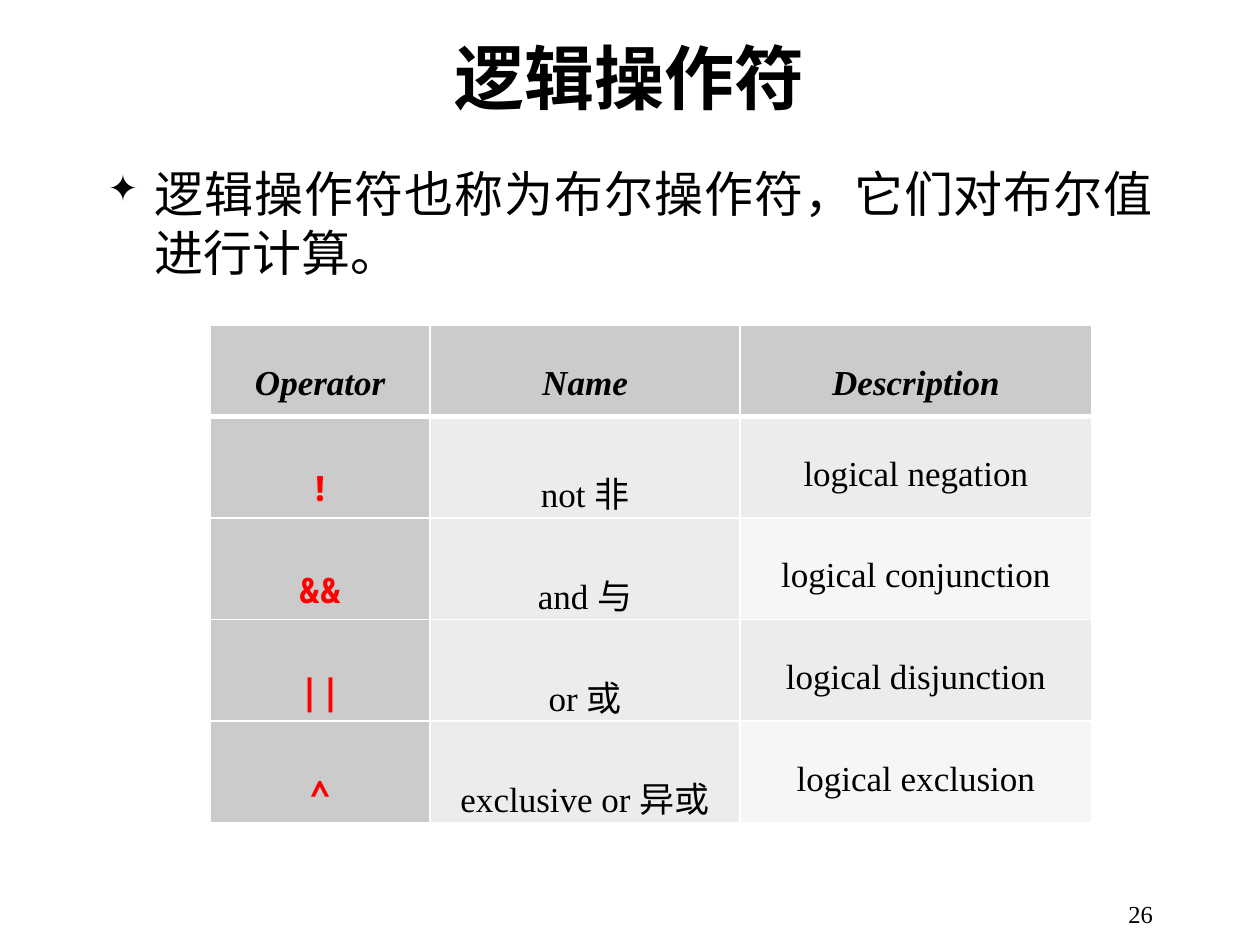
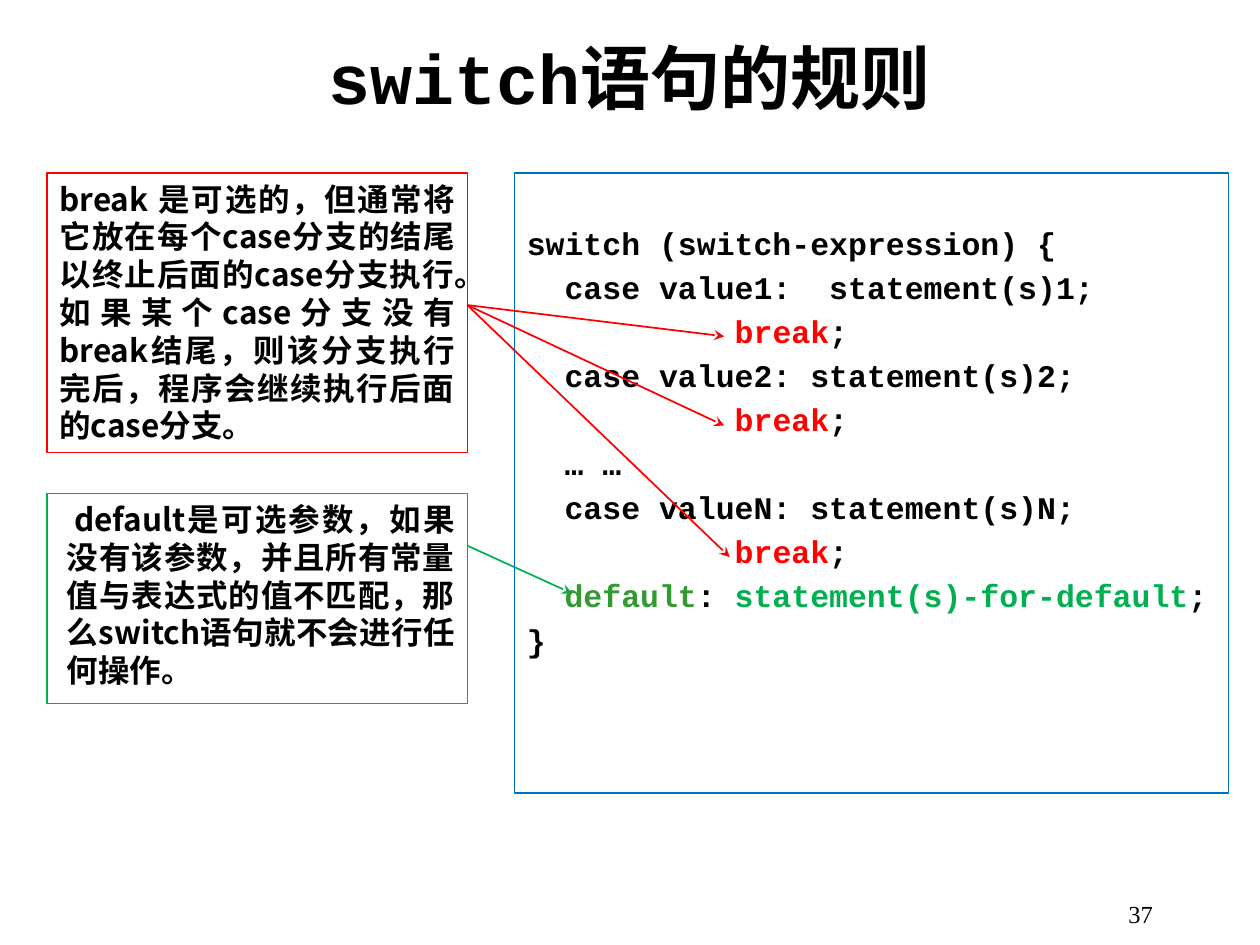
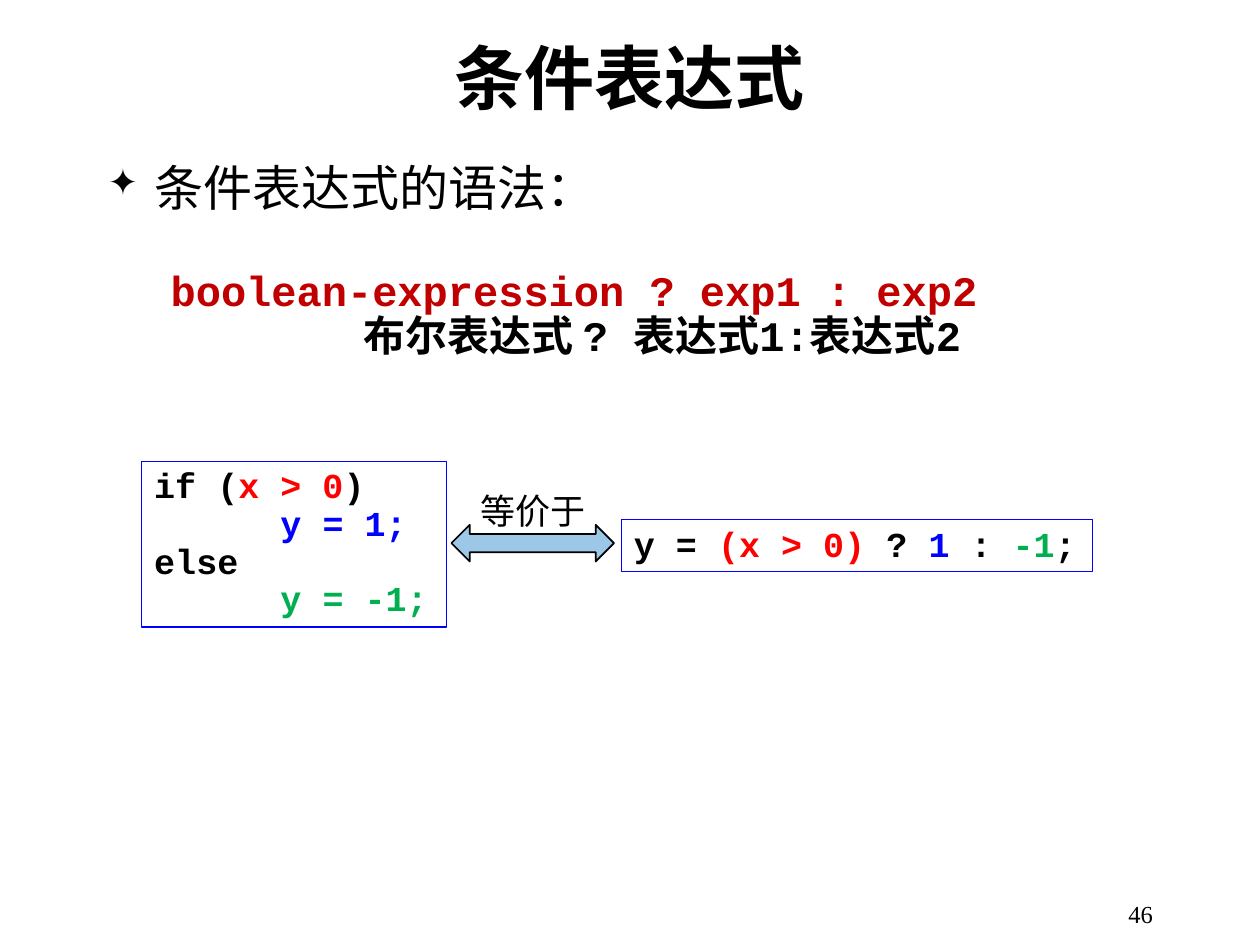
from lxml.etree import SubElement
from pptx import Presentation
from pptx.dml.color import RGBColor
from pptx.enum.shapes import MSO_CONNECTOR, MSO_SHAPE
from pptx.enum.text import MSO_ANCHOR, PP_ALIGN
from pptx.oxml.ns import qn
from pptx.util import Cm, Pt

BLACK = RGBColor(0x00, 0x00, 0x00)
RED = RGBColor(0xFF, 0x00, 0x00)
DARK_RED = RGBColor(0xC0, 0x00, 0x00)
GREEN = RGBColor(0x00, 0xB0, 0x50)
LEAF = RGBColor(0x33, 0x99, 0x33)
SKY = RGBColor(0x00, 0x70, 0xC0)
BLUE = RGBColor(0x00, 0x00, 0xFF)
HEAD = RGBColor(0xCB, 0xCB, 0xCB)
ODD = RGBColor(0xEC, 0xEC, 0xEC)
EVEN = RGBColor(0xF6, 0xF6, 0xF6)

SERIF = "Times New Roman"
CODE = "Courier New"
MONO = "Noto Sans Mono"
HAN = "Noto Sans CJK SC"

TITLE = (1.9, 0.05, 21.59, 3)
BODY = (1.92, 3.16, 21.59, 14.5)
NUMBER = (18.21, 17.78, 5.28, 1.27)


def add(parent, tag, **attrs):
    return SubElement(parent, qn(tag), attrs)


def style(para, face, size, color=BLACK, bold=False, italic=False,
          align=PP_ALIGN.LEFT, pitch=None, before=0):
    para.alignment = align
    para.space_before = Pt(before)
    if pitch:
        para.line_spacing = pitch
    font = para.font
    font.name, font.size, font.bold, font.italic = face, Pt(size), bold, italic
    font.color.rgb = color
    props = para._p.get_or_add_pPr().find(qn("a:defRPr"))
    add(props, "a:ea", typeface=HAN)


def write(para, parts):
    for part in [parts] if isinstance(parts, str) else parts:
        text, color = (part, None) if isinstance(part, str) else part
        run = para.add_run()
        run.text = text
        if color is not None:
            run.font.color.rgb = color


def indent(para, left, first):
    props = para._p.get_or_add_pPr()
    props.set("marL", str(Cm(left)))
    props.set("indent", str(Cm(first)))
    return props


def star(para):
    props = indent(para, 0.95, -0.95)
    add(add(props, "a:buClr"), "a:srgbClr", val=str(BLACK))
    add(props, "a:buSzPct", val="75000")
    add(props, "a:buChar", char="✦")


def text_box(slide, box, anchor=MSO_ANCHOR.TOP):
    frame = slide.shapes.add_textbox(*map(Cm, box)).text_frame
    frame.word_wrap = True
    frame.vertical_anchor = anchor
    return frame


def frame_box(slide, box, color, top=0.13):
    shape = slide.shapes.add_shape(MSO_SHAPE.RECTANGLE, *map(Cm, box))
    shape.shadow.inherit = False
    shape.fill.background()
    shape.line.color.rgb = color
    shape.line.width = Pt(0.75)
    frame = shape.text_frame
    frame.word_wrap = True
    frame.vertical_anchor = MSO_ANCHOR.TOP
    frame.margin_top = Cm(top)
    return frame


def fill_lines(frame, lines, size, pitch, before=0):
    for i, parts in enumerate(lines):
        para = frame.add_paragraph() if i else frame.paragraphs[0]
        style(para, CODE, size, bold=True, pitch=pitch, before=before if i else 0)
        write(para, parts)


def arrow(slide, start, end, color):
    line = slide.shapes.add_connector(MSO_CONNECTOR.STRAIGHT, *map(Cm, start + end))
    line.line.color.rgb = color
    line.line.width = Pt(1)
    add(line.line._get_or_add_ln(), "a:tailEnd", type="stealth")
    add(line._element.spPr, "a:effectLst")


def new_slide(deck, title, number):
    slide = deck.slides.add_slide(deck.slide_layouts[6])
    para = text_box(slide, TITLE, MSO_ANCHOR.MIDDLE).paragraphs[0]
    style(para, CODE, 40, bold=True, align=PP_ALIGN.CENTER)
    write(para, title)
    para = text_box(slide, NUMBER, MSO_ANCHOR.MIDDLE).paragraphs[0]
    style(para, SERIF, 14, align=PP_ALIGN.RIGHT)
    write(para, str(number))
    return slide


def bullet(slide, text, pitch):
    frame = text_box(slide, BODY)
    para = frame.paragraphs[0]
    star(para)
    style(para, SERIF, 28, align=PP_ALIGN.JUSTIFY, pitch=Pt(pitch))
    write(para, text)
    return frame


def edge(cell, side, width):
    line = add(cell._tc.get_or_add_tcPr(), f"a:ln{side}", w=str(Pt(width)))
    add(add(line, "a:solidFill"), "a:srgbClr", val="FFFFFF")


def fill_cell(cell, text, row, col):
    cell.margin_left = cell.margin_right = Cm(0.18)
    cell.margin_top = cell.margin_bottom = 0
    for side in "LRTB":
        thick = (row, side) in [(0, "B"), (1, "T")]
        edge(cell, side, 3 if thick else 1)
    cell.fill.solid()
    if row == 0 or col == 0:
        cell.fill.fore_color.rgb = HEAD
    else:
        cell.fill.fore_color.rgb = EVEN if col == 2 and row % 2 == 0 else ODD
    sign = row > 0 and col == 0
    para = cell.text_frame.paragraphs[0]
    style(para, MONO if sign else SERIF, 20, RED if sign else BLACK,
          bold=row == 0 or col == 0, italic=row == 0,
          align=PP_ALIGN.CENTER, pitch=2.0)
    write(para, text)


def grid(slide, left, top, widths, heights, rows):
    table = slide.shapes.add_table(len(rows), len(widths), Cm(left), Cm(top),
                                   Cm(sum(widths)), Cm(sum(heights))).table
    for col, width in enumerate(widths):
        table.columns[col].width = Cm(width)
    for r, row in enumerate(rows):
        table.rows[r].height = Cm(heights[r])
        for c, text in enumerate(row):
            fill_cell(table.cell(r, c), text, r, c)


def logic_slide(deck):
    slide = new_slide(deck, "逻辑操作符", 26)
    bullet(slide, "逻辑操作符也称为布尔操作符，它们对布尔值进行计算。", 33.7)
    grid(slide, 4.24, 6.55, (4.43, 6.25, 7.09), [1.84] + [2.05] * 4, [
        ("Operator", "Name", "Description"),
        ("!", "not 非", "logical negation"),
        ("&&", "and 与", "logical conjunction"),
        ("||", "or 或", "logical disjunction"),
        ("^", "exclusive or 异或", "logical exclusion"),
    ])


def note(slide, box, color, text, left=0):
    para = frame_box(slide, box, color).paragraphs[0]
    indent(para, left, left)
    style(para, HAN, 18, bold=True, align=PP_ALIGN.JUSTIFY, pitch=Pt(21.6))
    write(para, text)


def switch_slide(deck):
    slide = new_slide(deck, "switch语句的规则", 37)
    left, top, width = 0.95, 3.49, 8.47
    right = left + width
    note(slide, (left, 9.95, width, 4.24), GREEN,
         "default是可选参数，如果没有该参数，并且所有常量值与表达式的值不匹配，"
         "那么switch语句就不会进行任何操作。", 0.15)
    arrow(slide, (right, 11), (11.53, 11.96), GREEN)
    stop = [" " * 11, ("break", RED), ";"]
    frame = frame_box(slide, (10.37, top, 14.4, 12.5), SKY, 1.02)
    fill_lines(frame, [
        "switch (switch-expression) {",
        "  case value1:  statement(s)1;",
        stop,
        "  case value2: statement(s)2;",
        stop,
        "  … …",
        "  case valueN: statement(s)N;",
        stop,
        ["  ", ("default", LEAF), ": ", ("statement(s)-for-default", GREEN), ";"],
        "}",
    ], 18, 1.0, 3.6)
    for end in [(14.6, 6.78), (14.6, 8.58), (14.71, 11.23)]:
        arrow(slide, (right, 6.15), end, RED)
    note(slide, (left, top, width, 5.64), RED,
         "break 是可选的，但通常将它放在每个case分支的结尾以终止后面的case分支执行。"
         "如果某个case分支没有break结尾，则该分支执行完后，程序会继续执行后面的case分支。")


def syntax(slide):
    frame = bullet(slide, "条件表达式的语法：", 30.3)
    for text, color, align, before in [
        ("boolean-expression ? exp1 : exp2", DARK_RED, PP_ALIGN.JUSTIFY, 32),
        ("布尔表达式 ? 表达式1:表达式2", BLACK, PP_ALIGN.CENTER, 1),
    ]:
        para = frame.add_paragraph()
        indent(para, 2.06, -0.79)
        style(para, CODE, 24, color, True, align=align, pitch=Pt(24.5), before=before)
        write(para, text)


def equal_sign(slide, box):
    left, top, width, height = box
    shape = slide.shapes.add_shape(MSO_SHAPE.LEFT_RIGHT_ARROW, *map(Cm, box))
    shape.shadow.inherit = False
    shape.fill.solid()
    shape.fill.fore_color.rgb = SKY
    tint = shape._element.spPr.find(qn("a:solidFill"))[0]
    add(tint, "a:alpha", val="39000")
    shape.line.color.rgb = BLACK
    shape.line.width = Pt(1)
    label = (left + 0.33, top - 0.84, width - 0.64, 1.12)
    para = text_box(slide, label).paragraphs[0]
    style(para, SERIF, 20, pitch=Pt(24))
    write(para, "等价于")


def choice_slide(deck):
    slide = new_slide(deck, "条件表达式", 46)
    syntax(slide)
    tab = " " * 6
    frame = frame_box(slide, (2.86, 9.31, 6.15, 3.33), BLUE)
    fill_lines(frame, [
        ["if (", ("x > 0", RED), ")"],
        [tab, ("y = 1;", BLUE)],
        "else",
        [tab, ("y = -1;", GREEN)],
    ], 20, Pt(21.5))
    frame = frame_box(slide, (12.53, 10.48, 9.5, 1.04), BLUE)
    frame.vertical_anchor = MSO_ANCHOR.MIDDLE
    fill_lines(frame, [
        ["y = ", ("(x > 0) ", RED), "? ", ("1", BLUE), " : ", ("-1", GREEN), ";"],
    ], 20, Pt(21.5))
    equal_sign(slide, (9.1, 10.58, 3.28, 0.74))


def main():
    deck = Presentation()
    deck.slide_width, deck.slide_height = Cm(25.4), Cm(19.05)
    logic_slide(deck)
    switch_slide(deck)
    choice_slide(deck)
    deck.save("out.pptx")


if __name__ == "__main__":
    main()
